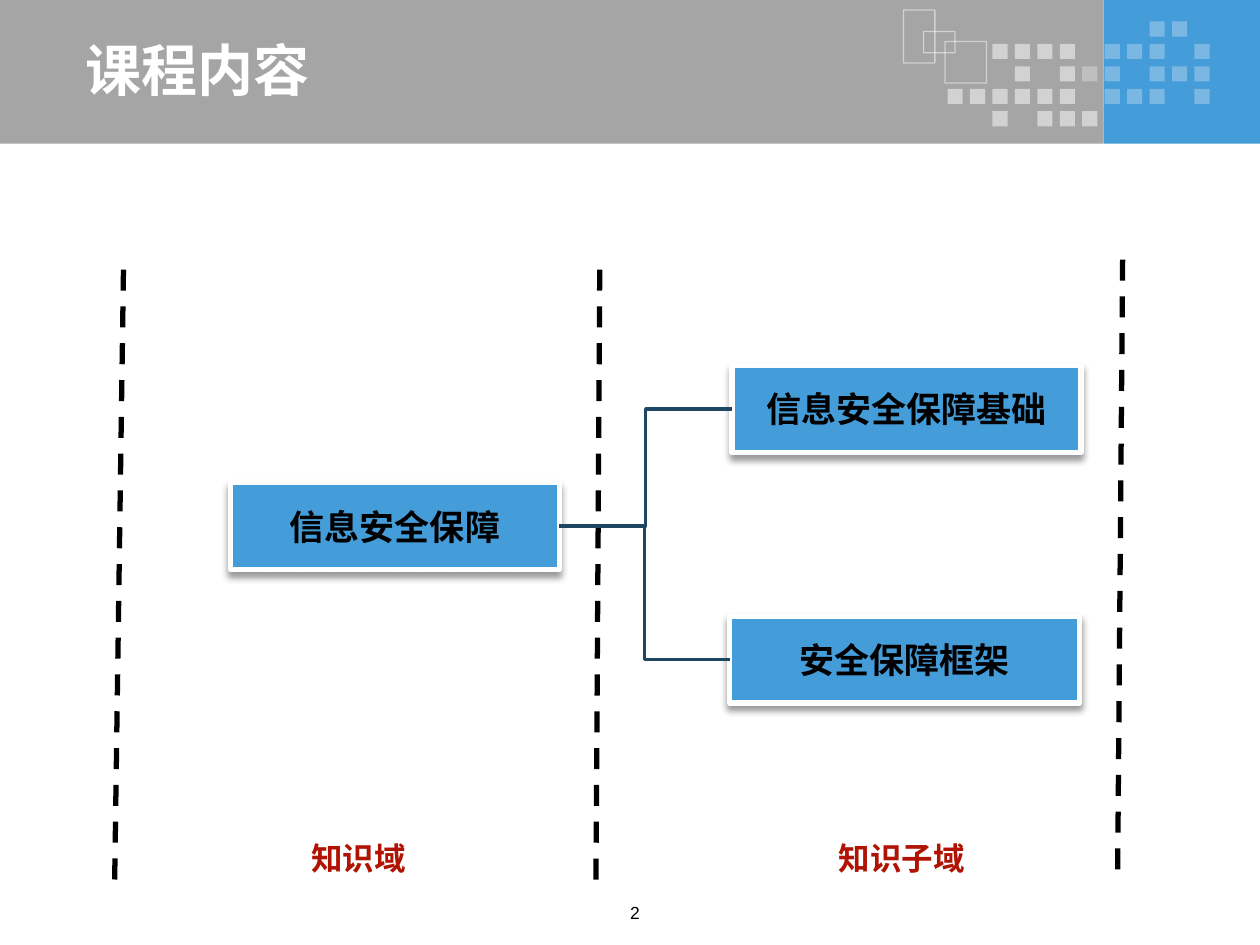
from lxml import etree
from pptx import Presentation
from pptx.dml.color import RGBColor
from pptx.enum.dml import MSO_LINE_DASH_STYLE as DASH
from pptx.enum.shapes import MSO_CONNECTOR as CONN, MSO_SHAPE as SHAPE
from pptx.enum.text import MSO_ANCHOR as ANCHOR, PP_ALIGN as ALIGN
from pptx.oxml.ns import qn
from pptx.util import Inches, Pt

CJK = "Noto Sans CJK SC"
WHITE, BLACK, BLUE, GRAY = "FFFFFF", "000000", "449CD8", "A5A5A5"
RED, NAVY = "B01302", "1E4763"


def rgb(value):
    return RGBColor.from_string(value)


def paint(fill, color, alpha=100):
    """Set a solid fill with an opacity in percent."""
    fill.solid()
    fill.fore_color.rgb = rgb(color)
    if alpha < 100:
        clr = fill._xPr.find(".//" + qn("a:srgbClr"))
        etree.SubElement(clr, qn("a:alpha"), val=str(alpha * 1000))


def put_text(tf, text, size=18, color=BLACK, bold=True, font="Arial",
             align=ALIGN.CENTER, anchor=ANCHOR.TOP, wrap=True):
    tf.word_wrap = wrap
    tf.vertical_anchor = anchor
    p = tf.paragraphs[0]
    p.alignment = align
    r = p.add_run()
    r.text = text
    r.font.size, r.font.bold, r.font.name = Pt(size), bold, font
    r.font.color.rgb = rgb(color)
    etree.SubElement(r._r.get_or_add_rPr(), qn("a:ea"), typeface=CJK)


class Deck:
    """Holds the current slide and the style of its elements."""

    def __init__(self):
        self.prs = Presentation()
        self.prs.slide_width, self.prs.slide_height = Inches(10), Inches(7.5)
        self.s = self.prs.slides.add_slide(self.prs.slide_layouts[6])

    def rect(self, x, y, w, h, fill=None, alpha=100, line=None, width=0.75, line_alpha=100):
        sp = self.s.shapes.add_shape(SHAPE.RECTANGLE, *map(Inches, (x, y, w, h)))
        sp.shadow.inherit = False
        if fill:
            paint(sp.fill, fill, alpha)
        else:
            sp.fill.background()
        if line:
            sp.line.width = Pt(width)
            paint(sp.line.fill, line, line_alpha)
        else:
            sp.line.fill.background()
        return sp

    def box(self, x, y, w, text):
        """Add a blue topic box with a white frame and a soft shadow."""
        sp = self.rect(x, y, w, 0.69, BLUE, line=WHITE, width=3)
        effects = sp._element.spPr.find(qn("a:effectLst"))
        shadow = etree.SubElement(effects, qn("a:outerShdw"), blurRad=str(Pt(4)),
                                  dist=str(Pt(3)), dir="5400000", rotWithShape="0")
        clr = etree.SubElement(shadow, qn("a:srgbClr"), val=BLACK)
        etree.SubElement(clr, qn("a:alpha"), val="40000")
        put_text(sp.text_frame, text, size=20, anchor=ANCHOR.MIDDLE, wrap=False)
        return sp

    def text(self, x, y, w, h, text, **fmt):
        tb = self.s.shapes.add_textbox(*map(Inches, (x, y, w, h)))
        put_text(tb.text_frame, text, **fmt)

    def connector(self, kind, ends, color, width):
        c = self.s.shapes.add_connector(kind, *map(Inches, ends))
        c.line.width = Pt(width)
        c.line.color.rgb = rgb(color)
        etree.SubElement(c._element.spPr, qn("a:effectLst"))
        return c

    def divider(self, x1, y1, x2, y2):
        c = self.connector(CONN.STRAIGHT, (x1, y1, x2, y2), BLACK, 3)
        c.line.dash_style = DASH.DASH

    def branch(self, parent, child):
        """Join the right side of parent to the left side of child."""
        c = self.connector(CONN.ELBOW, (0, 0, 1, 1), NAVY, 2)
        c.begin_connect(parent, 3)
        c.end_connect(child, 1)

    def mosaic(self, x, y, pitch, rows, opacity):
        for j, row in enumerate(rows):
            for i, mark in enumerate(row):
                if mark in opacity:
                    self.rect(x + i * pitch, y + j * pitch, 0.12, 0.12, WHITE, opacity[mark])


def main():
    d = Deck()
    d.rect(8.76, 0, 1.24, 1.14, BLUE)
    d.rect(0, 0, 8.76, 1.14, GRAY)
    d.mosaic(7.52, 0.17, 1.96 / 11, (
        ".........oo.",
        "..####.ooo.o",
        "...#.#oo.ooo",
        "######.ooo.o",
        "..#.###.....",
    ), {"#": 50, "o": 29})
    for frame in ((7.17, 0.08, 0.25, 0.42), (7.33, 0.25, 0.25, 0.17), (7.5, 0.33, 0.33, 0.33)):
        d.rect(*frame, line=WHITE, line_alpha=50)

    d.text(0.58, 0.28, 7.76, 0.53, "课程内容", size=32, color=WHITE, font=CJK,
           align=ALIGN.LEFT, anchor=ANCHOR.MIDDLE)
    d.text(4.58, 7.11, 0.92, 0.29, "2", size=10, bold=False)

    domain = d.box(1.83, 3.83, 2.61, "信息安全保障")
    for top_x, top, bottom_x in ((4.76, 2.14, 4.73), (8.91, 2.06, 8.87), (0.98, 2.14, 0.91)):
        d.divider(top_x, top, bottom_x, 7)
    d.text(2.25, 6.61, 1.19, 0.4, "知识域", color=RED)
    d.text(6.21, 6.61, 1.89, 0.4, "知识子域", color=RED)
    subdomains = [d.box(5.81, 2.9, 2.77, "信息安全保障基础"),
                  d.box(5.79, 4.89, 2.78, "安全保障框架")]
    for subdomain in subdomains:
        d.branch(domain, subdomain)
    d.prs.save("out.pptx")


if __name__ == "__main__":
    main()
